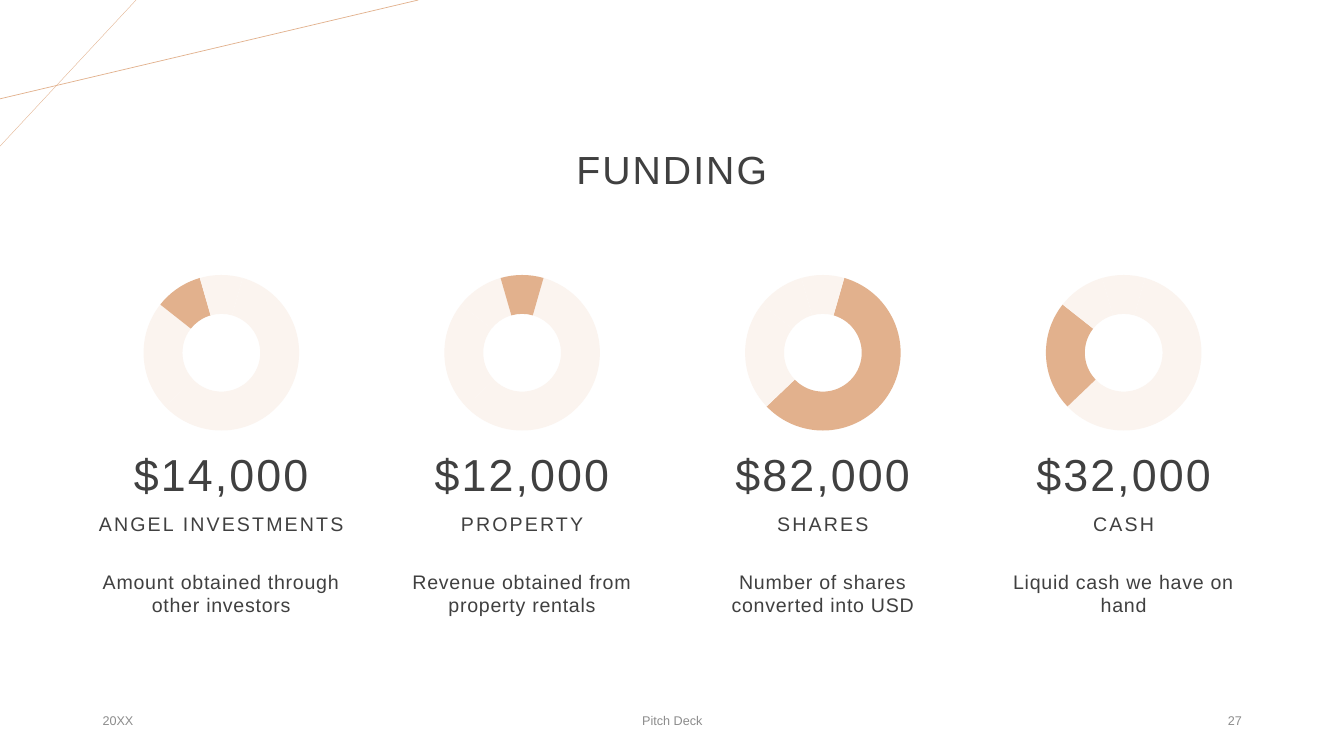
from pptx import Presentation
from pptx.chart.data import CategoryChartData
from pptx.dml.color import RGBColor
from pptx.enum.chart import XL_CHART_TYPE
from pptx.enum.shapes import MSO_CONNECTOR
from pptx.enum.text import MSO_ANCHOR, MSO_AUTO_SIZE, PP_ALIGN
from pptx.oxml.ns import qn
from pptx.util import Pt
from lxml import etree

RING = XL_CHART_TYPE.DOUGHNUT
LINE = MSO_CONNECTOR.STRAIGHT
TOP, MID, LOW = MSO_ANCHOR.TOP, MSO_ANCHOR.MIDDLE, MSO_ANCHOR.BOTTOM
LEFT, CENTER, RIGHT = PP_ALIGN.LEFT, PP_ALIGN.CENTER, PP_ALIGN.RIGHT
TAN = RGBColor(0xE2, 0xB1, 0x8D)
PALE = RGBColor(0xFB, 0xF4, 0xEF)
DARK = RGBColor(0x40, 0x40, 0x40)
GRAY = RGBColor(0x8C, 0x8C, 0x8C)
BLACK = RGBColor(0, 0, 0)
FACE = "Arial"

# Content
TITLE = "FUNDING"
CATS = ["1", "2", "3", "4"]
SHARES = [59, 23, 10, 9]
# highlighted slice, amount, label, detail
FUNDS = [
    (2, "$14,000", "ANGEL INVESTMENTS", "Amount obtained through other investors"),
    (3, "$12,000", "PROPERTY", "Revenue obtained from property rentals"),
    (0, "$82,000", "SHARES", "Number of shares converted into USD"),
    (1, "$32,000", "CASH", "Liquid cash we have on hand"),
]
# text, left, width, alignment
FOOTER = [
    ("20XX", 66.2, 216, LEFT),
    ("Pitch Deck", 318.2, 324, CENTER),
    ("27", 678.2, 216, RIGHT),
]
# start x, end y, width
RAYS = [(97.2, 104.4, 0.25), (298.8, 70.6, 0.5)]

# Layout
EDGE, PITCH, COL = 66.2, 214.85, 183.8
RING_W, RING_H, RING_Y = 146.2, 131, 186.5

# Formats: font size, letter spacing in 1/100 pt, anchor, line spacing
HEAD = dict(size=28, gap=150, anchor=MID, lead=0.9)
# top, height, format
ROWS = [
    (298.1, 63.4, dict(size=32, gap=150, anchor=LOW, lead=0.9, before=10, side=0)),
    (351.4, 34.6, dict(size=14, gap=150, anchor=LOW, lead=0.9, before=10, side=0)),
    (403.2, 67, dict(size=14, gap=50, anchor=TOP, before=10, side=0)),
]
FOOT = dict(size=9, color=GRAY, anchor=MID)


def put(shape, text, box, size, gap=0, anchor=TOP, lead=1.0, before=0,
        side=7.2, color=DARK, align=CENTER):
    shape.left, shape.top, shape.width, shape.height = map(Pt, box)
    frame = shape.text_frame
    look = dict(word_wrap=True, auto_size=MSO_AUTO_SIZE.NONE, vertical_anchor=anchor,
                margin_left=Pt(side), margin_right=Pt(side))
    for name, value in look.items():
        setattr(frame, name, value)
    para = frame.paragraphs[0]
    style = dict(alignment=align, line_spacing=lead, space_before=Pt(before))
    for name, value in style.items():
        setattr(para, name, value)
    run = para.add_run()
    run.text = text
    run.font.name, run.font.size = FACE, Pt(size)
    run.font.color.rgb = color
    run._r.get_or_add_rPr().set("spc", str(gap))


def add_text(slide, text, box, **form):
    put(slide.shapes.add_textbox(0, 0, 0, 0), text, box, **form)


def add_ring(slide, left, mark):
    data = CategoryChartData()
    data.categories = CATS
    data.add_series("Series 1", SHARES)
    box = map(Pt, (left, RING_Y, RING_W, RING_H))
    chart = slide.shapes.add_chart(RING, *box, data).chart
    chart.has_legend = chart.has_title = False
    chart.font.name, chart.font.size = FACE, Pt(10)
    chart.font.color.rgb = BLACK
    plot = chart.plots[0]
    plot.vary_by_categories = True
    for i in range(len(SHARES)):
        form = plot.series[0].points[i].format
        form.fill.solid()
        form.fill.fore_color.rgb = TAN if i == mark else PALE
        form.line.fill.background()
    # Turn the ring and set its hole
    for tag, value in (("c:firstSliceAng", "16"), ("c:holeSize", "80")):
        chart._chartSpace.find(".//" + qn(tag)).set("val", value)


def main():
    deck = Presentation()
    deck.slide_width, deck.slide_height = Pt(960), Pt(540)
    slide = deck.slides.add_slide(deck.slide_layouts[5])

    # Corner lines
    for x, y, width in RAYS:
        ray = slide.shapes.add_connector(LINE, Pt(x), 0, 0, Pt(y))
        ray.line.color.rgb, ray.line.width = TAN, Pt(width)
        etree.SubElement(ray._element.spPr, qn("a:effectLst"))

    # Title
    put(slide.shapes.title, TITLE, (148.3, 70.6, 663.1, 104.4), **HEAD)

    # Funding columns
    for i, (mark, *texts) in enumerate(FUNDS):
        left = EDGE + i * PITCH
        add_ring(slide, left + (COL - RING_W) / 2, mark)
        for text, (top, height, form) in zip(texts, ROWS):
            add_text(slide, text, (left, top, COL, height), **form)

    # Footer
    for text, left, width, align in FOOTER:
        add_text(slide, text, (left, 500.4, width, 28.8), align=align, **FOOT)

    deck.save("out.pptx")


if __name__ == "__main__":
    main()
